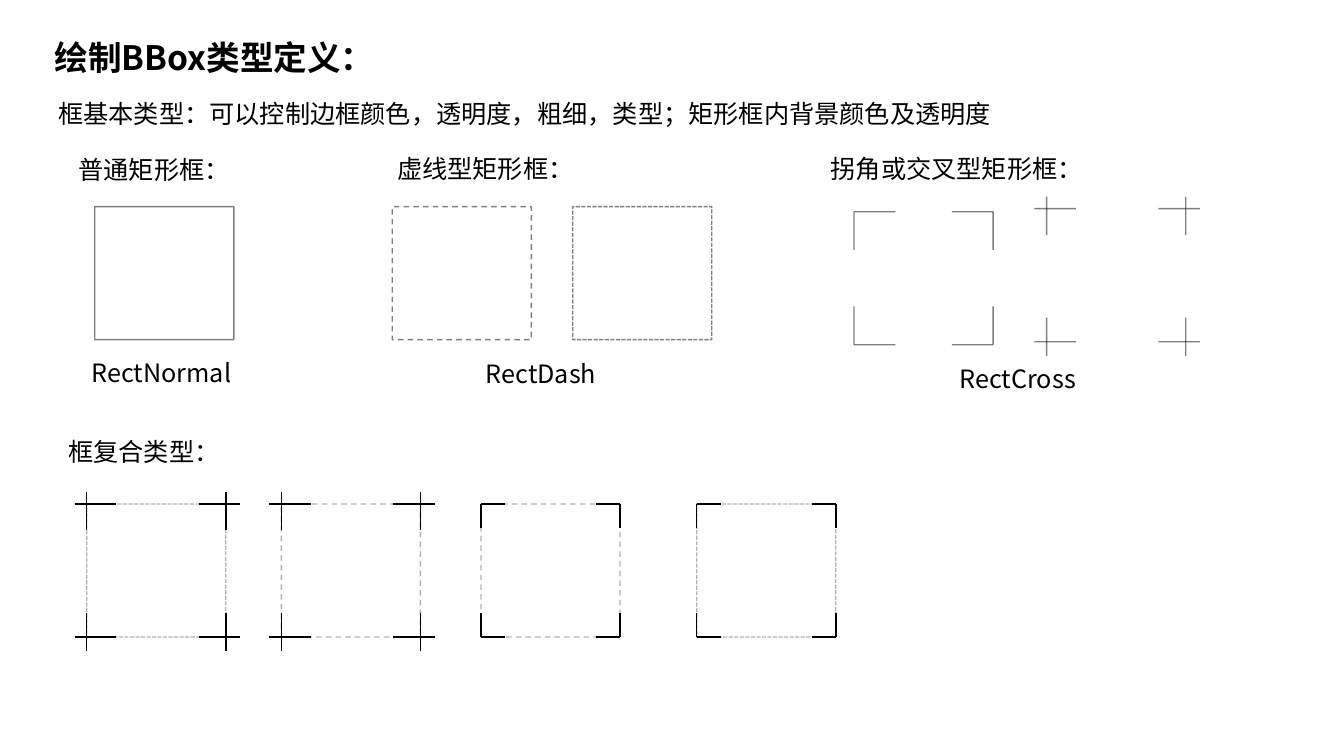
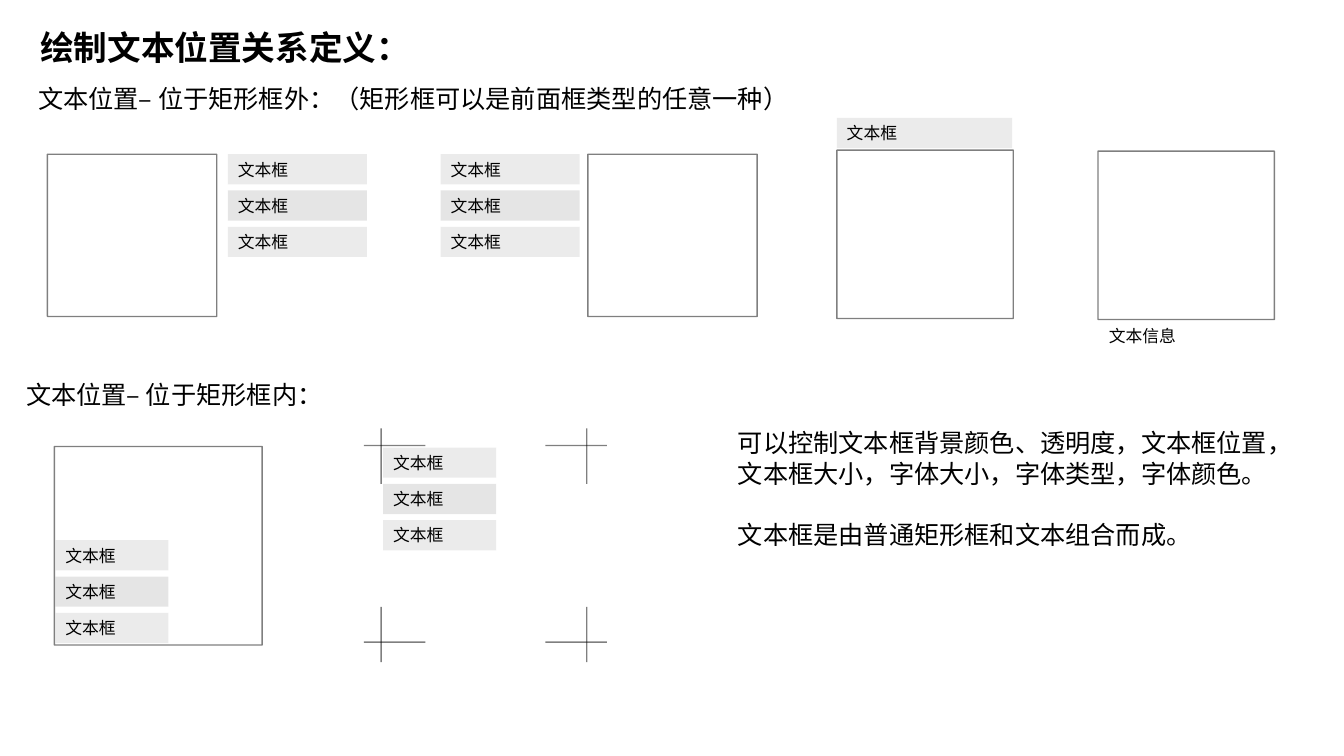
from dataclasses import dataclass

from lxml import etree
from pptx import Presentation
from pptx.dml.color import RGBColor
from pptx.enum.dml import MSO_LINE
from pptx.enum.shapes import MSO_CONNECTOR, MSO_SHAPE
from pptx.enum.text import MSO_ANCHOR, MSO_AUTO_SIZE, PP_ALIGN
from pptx.oxml.ns import qn
from pptx.util import Inches, Pt

SOLID, DASH, FINE_DASH = MSO_LINE.SOLID, MSO_LINE.DASH, MSO_LINE.SQUARE_DOT
STRAIGHT, RECTANGLE = MSO_CONNECTOR.STRAIGHT, MSO_SHAPE.RECTANGLE
MIDDLE, LEFT, NO_AUTOFIT = MSO_ANCHOR.MIDDLE, PP_ALIGN.LEFT, MSO_AUTO_SIZE.NONE
FINE_DASH = MSO_LINE.SQUARE_DOT if not hasattr(MSO_LINE, "SYS_DASH") else MSO_LINE.SYS_DASH


@dataclass(frozen=True)
class Theme:
    font: str = "Noto Sans CJK SC"
    ink: RGBColor = RGBColor(0, 0, 0)
    # Tag fills with their opacity in percent, used in turn
    tags: tuple = ((RGBColor(0xD9, 0xD9, 0xD9), 50), (RGBColor(0x80, 0x80, 0x80), 20))
    title: Pt = Pt(24)
    body: Pt = Pt(18)
    tag: Pt = Pt(12)
    body_line: Pt = Pt(22)
    stroke: Pt = Pt(1)


THEME = Theme()

# Corner marks: horizontal arm, vertical arm, overhang at left/top, overhang at right/bottom
ANGLE = (0.41, 0.38, 0, 0)
SHORT_ANGLE = (0.24, 0.24, 0, 0)
CROSS = (0.41, 0.38, 0.12, 0.14)
LARGE_CROSS = (0.61, 0.55, 0.17, 0.2)


def write(shape, box, text, size, bold=False, tint=None):
    """Place a text shape and fill it with one paragraph per line of text."""
    shape.left, shape.top, shape.width, shape.height = (Inches(value) for value in box)
    frame = shape.text_frame
    frame.word_wrap, frame.auto_size, frame.vertical_anchor = True, NO_AUTOFIT, MIDDLE
    frame.text = text
    for index, paragraph in enumerate(frame.paragraphs):
        paragraph.alignment = LEFT
        if len(frame.paragraphs) > 1:
            paragraph.line_spacing = THEME.body_line
            paragraph.space_before = THEME.body_line if index else Pt(0)
        font = paragraph.font
        font.name, font.size, font.bold = THEME.font, size, bold
        font.color.rgb = THEME.ink
        east_asian = etree.SubElement(font._element, qn("a:ea"))
        east_asian.set("typeface", THEME.font)
    if tint:
        color, opacity = tint
        shape.fill.solid()
        shape.fill.fore_color.rgb = color
        fill_color = shape.fill._xPr.find(".//" + qn("a:srgbClr"))
        etree.SubElement(fill_color, qn("a:alpha")).set("val", str(opacity * 1000))


def draw_frame(slide, box, dash=None, opacity=50, marks=None, marks_opacity=50):
    """Draw a rectangle outline, corner marks, or both."""
    left, top, width, height = box
    strokes = []
    if dash is not None:
        shape = slide.shapes.add_shape(RECTANGLE, *(Inches(value) for value in box))
        shape.shadow.inherit = False
        shape.fill.background()
        strokes.append((shape, dash, opacity))
    if marks:
        across, down, near, far = marks
        right, bottom = left + width, top + height
        arms = []
        for y in (top, bottom):
            arms += [(left - near, y, left - near + across, y),
                     (right + far - across, y, right + far, y)]
        for x in (left, right):
            arms += [(x, top - near, x, top - near + down),
                     (x, bottom + far - down, x, bottom + far)]
        for arm in arms:
            connector = slide.shapes.add_connector(STRAIGHT, *(Inches(value) for value in arm))
            etree.SubElement(connector._element.spPr, qn("a:effectLst"))
            strokes.append((connector, SOLID, marks_opacity))
    for stroke, style, percent in strokes:
        stroke.line.color.rgb = THEME.ink
        stroke.line.width = THEME.stroke
        stroke.line.dash_style = style
        line_color = stroke.line._ln.find(".//" + qn("a:srgbClr"))
        etree.SubElement(line_color, qn("a:alpha")).set("val", str(percent * 1000))


presentation = Presentation()
presentation.slide_width, presentation.slide_height = Inches(13.33), Inches(7.5)
title_only = presentation.slide_layouts[5]

# Slide 1: box types
slide = presentation.slides.add_slide(title_only)
write(slide.shapes.title, (0.44, 0.32, 5, 0.5), "绘制BBox类型定义：", THEME.title, bold=True)

for left, top, width, text in (
    (0.48, 0.93, 10.46, "框基本类型：可以控制边框颜色，透明度，粗细，类型；矩形框内背景颜色及透明度"),
    (0.68, 1.48, 2, "普通矩形框："),
    (3.84, 1.47, 2.48, "虚线型矩形框："),
    (8.14, 1.47, 3.57, "拐角或交叉型矩形框："),
    (0.81, 3.49, 1.89, "RectNormal"),
    (4.72, 3.5, 1.86, "RectDash"),
    (9.42, 3.55, 1.86, "RectCross"),
    (0.58, 4.28, 4.14, "框复合类型："),
):
    write(slide.shapes.add_textbox(0, 0, 0, 0), (left, top, width, 0.4), text, THEME.body)

# Basic boxes
box_size = (1.38, 1.32)
for left, top, dash, marks in (
    (0.94, 2.05, SOLID, None),
    (3.89, 2.05, DASH, None),
    (5.68, 2.05, FINE_DASH, None),
    (8.47, 2.1, None, ANGLE),
    (10.38, 2.07, None, CROSS),
):
    draw_frame(slide, (left, top, *box_size), dash, marks=marks)

# Combined boxes
for left, dash, marks in (
    (0.86, FINE_DASH, CROSS),
    (2.79, DASH, CROSS),
    (4.77, DASH, SHORT_ANGLE),
    (6.91, FINE_DASH, SHORT_ANGLE),
):
    draw_frame(slide, (left, 5, *box_size), dash, 30, marks, 100)

# Slide 2: text positions
slide = presentation.slides.add_slide(title_only)
write(slide.shapes.title, (0.3, 0.22, 5, 0.5), "绘制文本位置关系定义：", THEME.title, bold=True)

for box, text, size in (
    ((0.28, 0.78, 8.55, 0.4), "文本位置– 位于矩形框外：（矩形框可以是前面框类型的任意一种）", THEME.body),
    ((0.16, 3.71, 5.21, 0.4), "文本位置– 位于矩形框内：", THEME.body),
    ((7.22, 4.19, 5.54, 1.31),
     "可以控制文本框背景颜色、透明度，文本框位置，文本框大小，字体大小，字体类型，字体颜色。\n"
     "文本框是由普通矩形框和文本组合而成。", THEME.body),
    ((10.9, 3.18, 1.74, 0.3), "文本信息", THEME.tag),
):
    write(slide.shapes.add_textbox(0, 0, 0, 0), box, text, size)

# Boxes that the tags belong to
for box in (
    (0.47, 1.53, 1.68, 1.61),
    (5.83, 1.53, 1.68, 1.61),
    (8.3, 1.49, 1.75, 1.67),
    (10.89, 1.5, 1.75, 1.67),
    (0.54, 4.43, 2.06, 1.97),
):
    draw_frame(slide, box, SOLID)
draw_frame(slide, (3.78, 4.42, 2.04, 1.95), marks=LARGE_CROSS)

# Stacks of tags
tag_pitch = 0.36
for left, top, width, count in (
    (2.26, 1.53, 1.38, 3),
    (4.37, 1.53, 1.38, 3),
    (8.3, 1.17, 1.74, 1),
    (0.55, 5.36, 1.12, 3),
    (3.8, 4.44, 1.12, 3),
):
    for row in range(count):
        box = (left, top + row * tag_pitch, width, 0.3)
        tag = slide.shapes.add_shape(RECTANGLE, 0, 0, 0, 0)
        tag.shadow.inherit = False
        tag.line.fill.background()
        write(tag, box, "文本框", THEME.tag, tint=THEME.tags[row % 2])

presentation.save("out.pptx")
